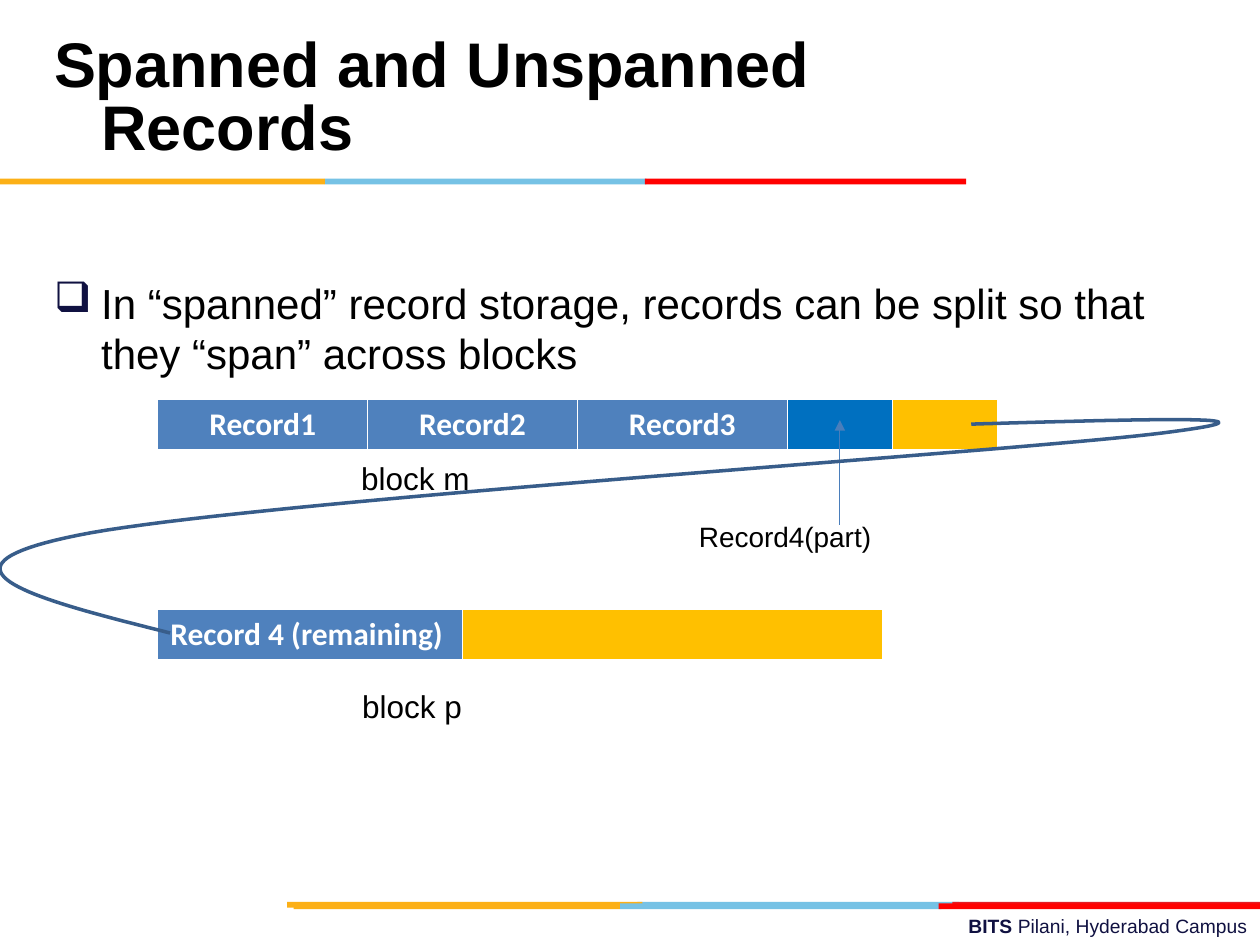
from pptx import Presentation
from pptx import util as u
from pptx.dml.color import RGBColor
from pptx.enum import shapes, text
from pptx.oxml import ns
from lxml import etree

BLACK = RGBColor(0x00, 0x00, 0x00)
WHITE = RGBColor(0xFF, 0xFF, 0xFF)
NAVY = RGBColor(0x10, 0x11, 0x41)
AMBER = RGBColor(0xFC, 0xB0, 0x17)
SKY = RGBColor(0x76, 0xC2, 0xE5)
CRIMSON = RGBColor(0xE3, 0x1C, 0x24)
RED = RGBColor(0xFF, 0x00, 0x00)
RECORD_BLUE = RGBColor(0x4F, 0x81, 0xBD)
PART_BLUE = RGBColor(0x00, 0x70, 0xC0)
FREE_YELLOW = RGBColor(0xFF, 0xC0, 0x00)
ARROW_BLUE = RGBColor(0x4A, 0x7E, 0xBB)
CURVE_BLUE = RGBColor(0x38, 0x5D, 0x8A)


def add_bars(slide, top, bars):
    """Draw a strip of thin coloured bars given as (left, width, colour)."""
    for left, width, colour in bars:
        bar = slide.shapes.add_shape(
            shapes.MSO_SHAPE.RECTANGLE, u.Cm(left), u.Cm(top), u.Cm(width), u.Cm(0.12))
        bar.shadow.inherit = False
        bar.fill.solid()
        bar.fill.fore_color.rgb = colour
        bar.line.fill.background()


def add_run(paragraph, words, size, colour=BLACK, bold=False, font="Arial"):
    """Append one formatted run."""
    run = paragraph.add_run()
    run.text = words
    run.font.name, run.font.size, run.font.bold = font, u.Pt(size), bold
    run.font.color.rgb = colour


def add_text(slide, left, top, width, height, wrap=True):
    """Add a text box and return its frame and first paragraph."""
    frame = slide.shapes.add_textbox(
        u.Cm(left), u.Cm(top), u.Cm(width), u.Cm(height)).text_frame
    frame.word_wrap = wrap
    return frame, frame.paragraphs[0]


def add_label(slide, left, top, words, size):
    """Add a one-line label without margins."""
    frame, paragraph = add_text(slide, left, top, 4.5, 0.8, wrap=False)
    frame.margin_left = frame.margin_top = frame.margin_right = frame.margin_bottom = 0
    add_run(paragraph, words, size)


def hang(paragraph, indent):
    """Give a paragraph a hanging indent."""
    properties = paragraph._p.get_or_add_pPr()
    properties.set("marL", str(u.Cm(indent)))
    properties.set("indent", str(-u.Cm(indent)))
    return properties


def add_bullet(paragraph, character, colour):
    """Give a paragraph a coloured bullet."""
    properties = hang(paragraph, 0.95)
    bullet_colour = etree.SubElement(properties, ns.qn("a:buClr"))
    etree.SubElement(bullet_colour, ns.qn("a:srgbClr"), val=str(colour))
    etree.SubElement(properties, ns.qn("a:buChar"), char=character)


def add_borders(cell):
    """Outline a cell in white, heavier at the bottom."""
    properties = cell._tc.get_or_add_tcPr()
    for index, (side, width) in enumerate(zip("LRTB", (0.45, 0.45, 0.45, 1.47))):
        line = etree.Element(ns.qn(f"a:ln{side}"), w=str(u.Pt(width)))
        fill = etree.SubElement(line, ns.qn("a:solidFill"))
        etree.SubElement(fill, ns.qn("a:srgbClr"), val=str(WHITE))
        properties.insert(index, line)


def add_block(slide, top, records, alignment):
    """Draw a storage block as a one-row table of (width, words, colour)."""
    total = sum(width for width, _, _ in records)
    table = slide.shapes.add_table(
        1, len(records), u.Cm(3.18), u.Cm(top), u.Cm(total), u.Cm(1.03)).table
    table.first_row = table.horz_banding = False
    for index, (width, words, colour) in enumerate(records):
        table.columns[index].width = u.Cm(width)
        cell = table.cell(0, index)
        cell.fill.solid()
        cell.fill.fore_color.rgb = colour
        add_borders(cell)
        paragraph = cell.text_frame.paragraphs[0]
        paragraph.alignment = alignment
        if words:
            add_run(paragraph, words, 18, WHITE, True, "Calibri")


def add_arrow(slide, x, start, end):
    """Draw a vertical arrow."""
    arrow = slide.shapes.add_connector(
        shapes.MSO_CONNECTOR.STRAIGHT, u.Cm(x), u.Cm(start), u.Cm(x), u.Cm(end))
    arrow.line.color.rgb = ARROW_BLUE
    arrow.line.width = u.Pt(0.75)
    etree.SubElement(arrow.line._get_or_add_ln(), ns.qn("a:tailEnd"), type="triangle")
    etree.SubElement(arrow._element.spPr, ns.qn("a:effectLst"))


def bezier(points, t):
    """Return the point at t on a cubic curve."""
    weights = ((1 - t) ** 3, 3 * t * (1 - t) ** 2, 3 * t * t * (1 - t), t ** 3)
    return tuple(sum(w * p[axis] for w, p in zip(weights, points)) for axis in (0, 1))


def add_curve(slide, points, steps=40):
    """Draw an open outline through chained cubic curves."""
    vertices = [bezier(points[first:first + 4], step / steps)
                for first in range(0, len(points) - 1, 3)
                for step in range(1, steps + 1)]
    builder = slide.shapes.build_freeform(
        u.Cm(points[0][0]), u.Cm(points[0][1]), scale=1.0)
    builder.add_line_segments([(u.Cm(x), u.Cm(y)) for x, y in vertices], close=False)
    curve = builder.convert_to_shape()
    curve.shadow.inherit = False
    curve.fill.background()
    curve.line.color.rgb = CURVE_BLUE
    curve.line.width = u.Pt(2)


def main():
    """Build the slide and save it."""
    presentation = Presentation()
    presentation.slide_width, presentation.slide_height = u.Cm(25.4), u.Cm(19.05)
    slide = presentation.slides.add_slide(presentation.slide_layouts[6])

    _, footer = add_text(slide, 9.09, 18.31, 16.31, 0.74)
    footer.alignment = text.PP_ALIGN.RIGHT
    add_run(footer, "BITS ", 11, NAVY, True)
    add_run(footer, "Pilani, Hyderabad Campus", 11, NAVY)

    add_bars(slide, 18.18, [(12.85, 6.48, SKY), (19.2, 6.2, CRIMSON), (5.79, 7.16, AMBER)])
    add_bars(slide, 18.21, [(12.5, 6.48, SKY), (5.92, 6.58, AMBER), (18.92, 6.48, RED)])
    add_bars(slide, 3.6, [(6.55, 6.48, SKY), (0, 6.55, AMBER), (13, 6.48, RED)])

    frame, title = add_text(slide, 0.84, 0.43, 17.58, 3.18)
    frame.vertical_anchor = text.MSO_ANCHOR.MIDDLE
    hang(title, 0.95)
    title.line_spacing = u.Pt(36)
    add_run(title, "Spanned and Unspanned Records", 36, BLACK, True)

    _, body = add_text(slide, 0.84, 5.46, 22.86, 2.3)
    add_bullet(body, "❑", NAVY)
    add_run(body, "In “spanned” record storage, records can be split so that "
                  "they “span” across blocks", 24)

    add_label(slide, 7.28, 9.26, "block m", 18)
    add_label(slide, 14.09, 10.47, "Record4(part)", 16)
    add_label(slide, 7.3, 13.84, "block p", 18)

    full_records = [(4.23, f"Record{number}", RECORD_BLUE) for number in (1, 2, 3)]
    add_block(slide, 8.05, full_records + [(2.12, "", PART_BLUE), (2.12, "", FREE_YELLOW)],
              text.PP_ALIGN.CENTER)
    add_block(slide, 12.28, [(6.15, "Record 4 (remaining)", RECORD_BLUE),
                             (8.46, "", FREE_YELLOW)], text.PP_ALIGN.LEFT)

    add_arrow(slide, 16.93, 10.58, 8.47)
    add_curve(slide, [(19.58, 8.55), (22.99, 8.45), (26.42, 8.35), (23.42, 8.73),
                      (20.42, 9.11), (4.9, 10.11), (1.57, 10.79),
                      (-1.75, 11.46), (0.84, 12.11), (3.43, 12.76)])
    presentation.save("out.pptx")


if __name__ == "__main__":
    main()
